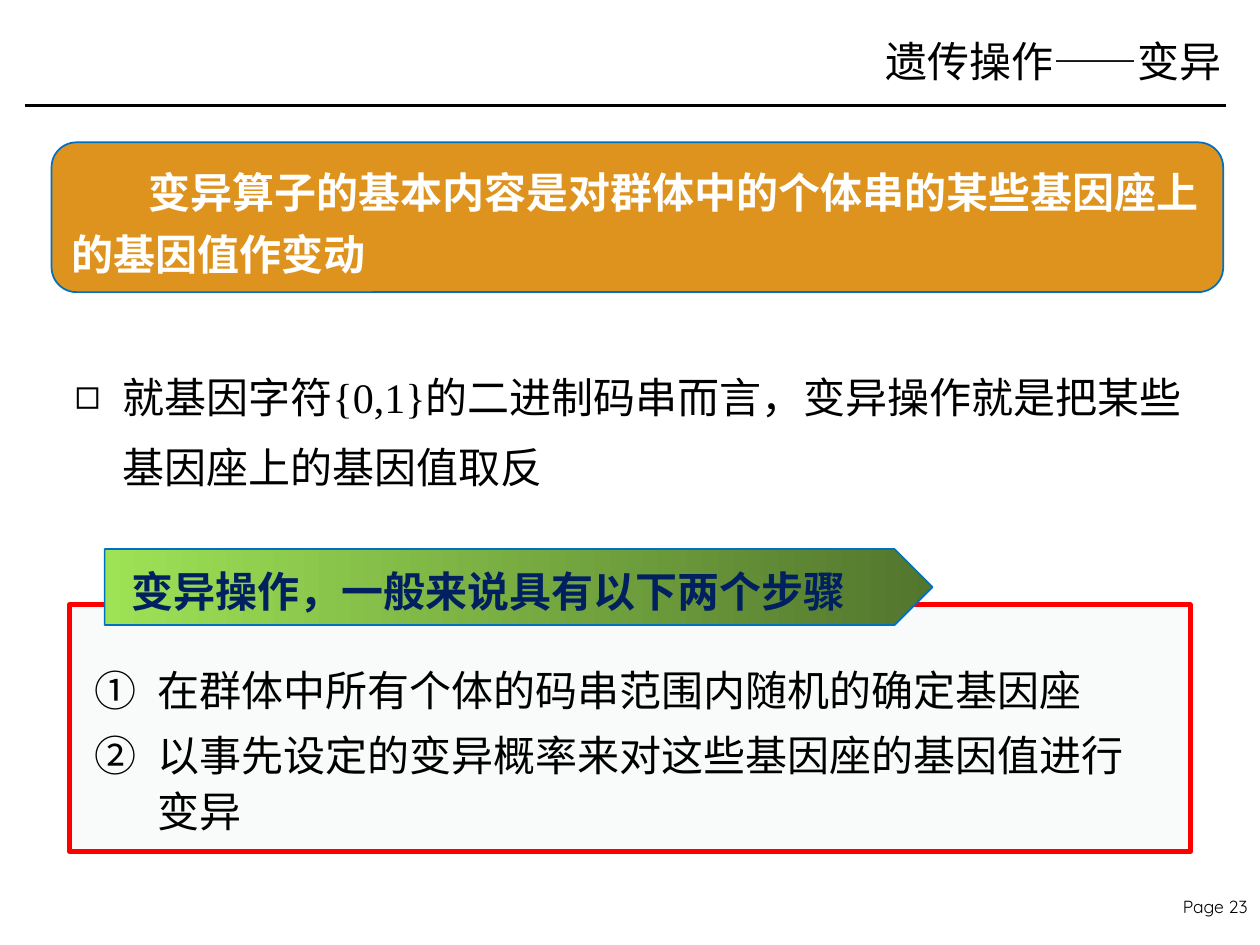
from lxml import etree
from pptx import Presentation
from pptx.dml.color import RGBColor
from pptx.enum.shapes import MSO_CONNECTOR, MSO_SHAPE
from pptx.enum.text import MSO_ANCHOR, MSO_AUTO_SIZE, PP_ALIGN
from pptx.oxml.ns import qn
from pptx.util import Cm, Pt

STRAIGHT = MSO_CONNECTOR.STRAIGHT
RECT = MSO_SHAPE.RECTANGLE
ROUND_RECT = MSO_SHAPE.ROUNDED_RECTANGLE
PENTAGON = MSO_SHAPE.PENTAGON
LEFT, RIGHT = PP_ALIGN.LEFT, PP_ALIGN.RIGHT
TOP, MIDDLE = MSO_ANCHOR.TOP, MSO_ANCHOR.MIDDLE
NO_AUTOSIZE = MSO_AUTO_SIZE.NONE
TWO_CONTENT = 3
FONT = "Times New Roman"
COLORS = {
    "text": "000000",
    "navy": "002060",
    "white": "FFFFFF",
    "orange": "DE931E",
    "blue": "0070C0",
    "red": "FF0000",
    "panel": "F9FBFA",
    "light_green": "9EE256",
    "dark_green": "52762D",
}


def rgb(name):
    return RGBColor.from_string(COLORS[name])


def place(sp, box):
    sp.left, sp.top, sp.width, sp.height = [Cm(v) for v in box]


def format_text(tf, color="text", size=24, font=FONT, bold=False,
                align=LEFT, anchor=TOP, wrap=True):
    tf.word_wrap = wrap
    tf.auto_size = NO_AUTOSIZE
    tf.vertical_anchor = anchor
    for p in tf.paragraphs:
        p.alignment = align
        for r in p.runs:
            r.font.name = font
            r.font.size = Pt(size)
            r.font.bold = bold
            r.font.color.rgb = rgb(color)


def add_title(slide, text, box):
    sp = slide.shapes.title
    place(sp, box)
    sp.text_frame.text = text
    format_text(sp.text_frame, align=RIGHT, anchor=MIDDLE)


def add_list(slide, idx, items, box, bullet, indent, spacing, gap):
    sp = slide.placeholders[idx]
    slide.shapes._spTree.append(sp._element)
    place(sp, box)
    tf = sp.text_frame
    tf.text = "\n".join(items)
    tag, attrs = bullet
    for i, p in enumerate(tf.paragraphs):
        pPr = p._p.get_or_add_pPr()
        pPr.set("marL", str(Cm(indent)))
        pPr.set("indent", str(-Cm(indent)))
        etree.SubElement(pPr, qn(tag), attrs)
        p.line_spacing = Pt(spacing)
        p.space_before = Pt(gap if i else 0)
    format_text(tf)


def add_box(slide, shape, box, line, width, fill=None):
    sp = slide.shapes.add_shape(shape, *[Cm(v) for v in box])
    sp.shadow.inherit = False
    sp.line.color.rgb = rgb(line)
    sp.line.width = Pt(width)
    if fill:
        sp.fill.solid()
        sp.fill.fore_color.rgb = rgb(fill)
    return sp


def add_gradient(sp, colors):
    sp.fill.gradient()
    sp.fill.gradient_angle = 0
    for stop, color, position in zip(sp.fill.gradient_stops, colors, (0, 1)):
        stop.color.rgb = rgb(color)
        stop.position = position


def add_label(slide, text, box, **style):
    sp = slide.shapes.add_textbox(*[Cm(v) for v in box])
    sp.text_frame.text = text
    format_text(sp.text_frame, **style)


def add_rule(slide, x1, x2, y):
    line = slide.shapes.add_connector(STRAIGHT, Cm(x1), Cm(y), Cm(x2), Cm(y))
    line.line.color.rgb = rgb("text")
    line.line.width = Pt(2)
    etree.SubElement(line._element.spPr, qn("a:effectLst"))


def add_definition(slide, text, box):
    sp = add_box(slide, ROUND_RECT, box, "blue", 1, "orange")
    tf = sp.text_frame
    tf.text = text
    p = tf.paragraphs[0]
    p._p.get_or_add_pPr().set("indent", str(Cm(1.55)))
    p.line_spacing = Pt(35)
    format_text(tf, color="white", bold=True, anchor=MIDDLE)


def main():
    prs = Presentation()
    prs.slide_width, prs.slide_height = Cm(25.4), Cm(19.05)
    slide = prs.slides.add_slide(prs.slide_layouts[TWO_CONTENT])

    add_label(slide, "Page 23", (23.37, 17.93, 2.03, 0.66),
              size=10, font="Quicksand", align=RIGHT, wrap=False)
    add_rule(slide, 0.5, 24.71, 2.13)
    add_title(slide, "遗传操作——变异", (10.9, 0.28, 13.97, 1.9))
    add_list(slide, 1,
             ["就基因字符{0,1}的二进制码串而言，变异操作就是把某些基因座上的基因值取反"],
             (1.25, 6.96, 23.27, 3.1), ("a:buChar", {"char": "◻"}),
             0.97, 40, 4)

    add_box(slide, RECT, (1.4, 12.19, 22.6, 4.98), "red", 2.5, "panel")
    banner = add_box(slide, PENTAGON, (2.11, 11.07, 16.69, 1.53), "blue", 1)
    add_gradient(banner, ("light_green", "dark_green"))
    add_label(slide, "变异操作，一般来说具有以下两个步骤",
              (2.41, 11.28, 15.01, 1.27), color="navy", bold=True)
    add_list(slide, 2,
             ["在群体中所有个体的码串范围内随机的确定基因座",
              "以事先设定的变异概率来对这些基因座的基因值进行变异"],
             (1.65, 13.16, 21.82, 3.86),
             ("a:buAutoNum", {"type": "circleNumDbPlain"}), 1.27, 32, 5)

    add_definition(slide, "变异算子的基本内容是对群体中的个体串的某些基因座上的基因值作变动",
                   (1.04, 2.87, 23.62, 3.02))
    prs.save("out.pptx")


if __name__ == "__main__":
    main()
